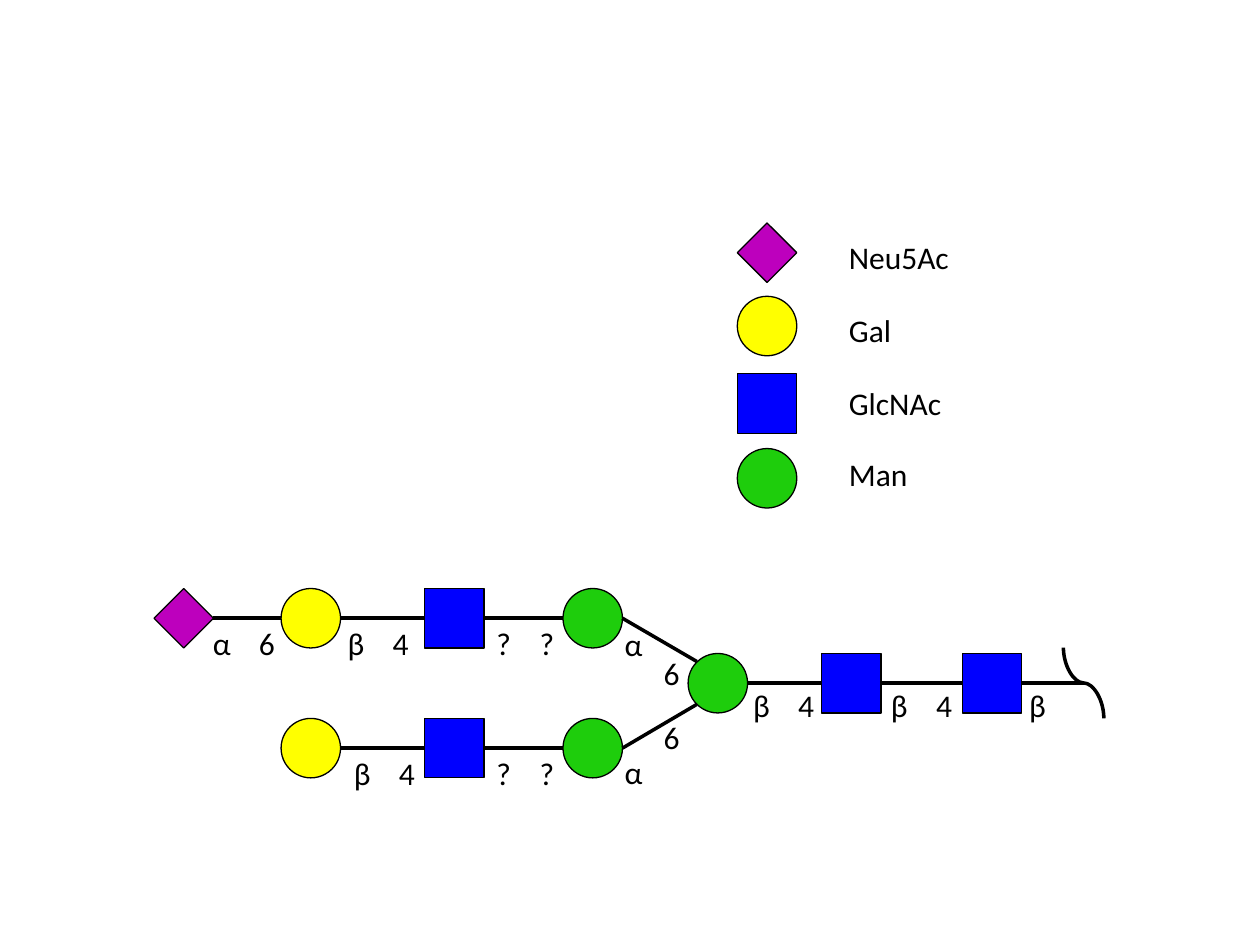
from dataclasses import dataclass
from itertools import pairwise
from lxml import etree
from pptx import Presentation
from pptx import util as u
from pptx.dml import color
from pptx.enum import shapes, text
from pptx.oxml import ns


@dataclass
class Theme:
    font: str = "Calibri"
    size: float = 18
    ink: str = "000000"
    neu: str = "BD00BD"
    gal: str = "FFFF00"
    glc: str = "0000FF"
    man: str = "1ECD0C"
    edge: float = 0.75
    bond: float = 2


THEME = Theme()
FORMS = shapes.MSO_SHAPE
KINDS = {
    "Neu5Ac": (FORMS.DIAMOND, THEME.neu),
    "Gal": (FORMS.OVAL, THEME.gal),
    "GlcNAc": (FORMS.RECTANGLE, THEME.glc),
    "Man": (FORMS.OVAL, THEME.man),
}
SIDE = 34
HALF = SIDE / 2


class Glycan:
    def __init__(self, slide, theme):
        self.slide = slide
        self.theme = theme

    def tint(self, code):
        return color.RGBColor.from_string(code)

    def sugar(self, kind, left, top):
        form, fill = KINDS[kind]
        item = self.slide.shapes.add_shape(
            form, u.Pt(left), u.Pt(top), u.Pt(SIDE), u.Pt(SIDE))
        item.shadow.inherit = False
        item.fill.solid()
        item.fill.fore_color.rgb = self.tint(fill)
        item.line.color.rgb = self.tint(self.theme.ink)
        item.line.width = u.Pt(self.theme.edge)

    def bond(self, x1, y1, x2, y2, kind=shapes.MSO_CONNECTOR.STRAIGHT):
        line = self.slide.shapes.add_connector(
            kind, u.Pt(x1), u.Pt(y1), u.Pt(x2), u.Pt(y2))
        line.line.color.rgb = self.tint(self.theme.ink)
        line.line.width = u.Pt(self.theme.bond)
        etree.SubElement(line._element.spPr, ns.qn("a:effectLst"))
        return line

    def curl(self, x1, y1, x2, y2):
        curve = self.bond(x1, y1, x2, y2, shapes.MSO_CONNECTOR.CURVE)
        curve._element.spPr.find(ns.qn("a:xfrm")).set("rot", "16200000")

    def label(self, words, left, top, width, stop=None):
        box = self.slide.shapes.add_textbox(
            u.Pt(left), u.Pt(top), u.Pt(width), u.Pt(29))
        frame = box.text_frame
        frame.word_wrap = True
        frame.auto_size = text.MSO_AUTO_SIZE.SHAPE_TO_FIT_TEXT
        frame.text = words
        para = frame.paragraphs[0]
        if stop:
            tabs = etree.SubElement(
                para._p.get_or_add_pPr(), ns.qn("a:tabLst"))
            etree.SubElement(
                tabs, ns.qn("a:tab"), pos=str(u.Pt(stop)), algn="l")
        for run in para.runs:
            run.font.name = self.theme.font
            run.font.size = u.Pt(self.theme.size)
            run.font.color.rgb = self.tint(self.theme.ink)

    def chain(self, top, units):
        for kind, left in units:
            self.sugar(kind, left, top)
        for (_, left), (_, right) in pairwise(units):
            self.bond(left + SIDE, top + HALF, right, top + HALF)


deck = Presentation()
deck.slide_width, deck.slide_height = u.Pt(720), u.Pt(540)
art = Glycan(deck.slides.add_slide(deck.slide_layouts[6]), THEME)

UPPER, CORE, LOWER = 336.3, 373.4, 410.5
ARM = [("Gal", 160.6), ("GlcNAc", 242.6), ("Man", 321.7)]
STEM = [("Man", 393.2), ("GlcNAc", 469.4), ("GlcNAc", 549.8)]
art.chain(UPPER, [("Neu5Ac", 88), *ARM])
art.chain(LOWER, ARM)
art.chain(CORE, STEM)

for top, turn in ((UPPER, 378), (LOWER, 402.5)):
    art.bond(321.7 + SIDE, top + HALF, 398.2, turn)
art.bond(549.8 + SIDE, CORE + HALF, 619.2, CORE + HALF)
art.curl(639.4, 378.7, 599, 401.8)

LEGEND = zip(KINDS, (127.4, 169.3, 213.6, 256.3), (132.5, 174.2, 216, 256.6),
             (80, 46, 80, 53.3))
for kind, top, line, width in LEGEND:
    art.sugar(kind, 421.3, top)
    art.label(kind, 478, line, width)

WIDE = 56.2
LINKS = [
    ("α\t6", 114.5, 353.3, 26.4),
    ("β\t4", 191.5, 353.3, 25.8),
    ("β\t4", 195.1, 427.3, 25.8),
    ("β\t4", 423.2, 388.3, 25.8),
    ("β\t4", 502, 388.3, 25.8),
    ("β", 581, 388.3, None),
    ("?\t?", 276.6, 353.3, 24.6),
    ("?\t?", 276.6, 427.3, 24.6),
    ("α", 349.9, 353.6, None),
    ("α", 349.9, 426.5, None),
]
for words, left, top, stop in LINKS:
    art.label(words, left, top, WIDE, stop)
for top in (370.2, 406.9):
    art.label("6", 372.2, top, 29)

deck.save("out.pptx")
